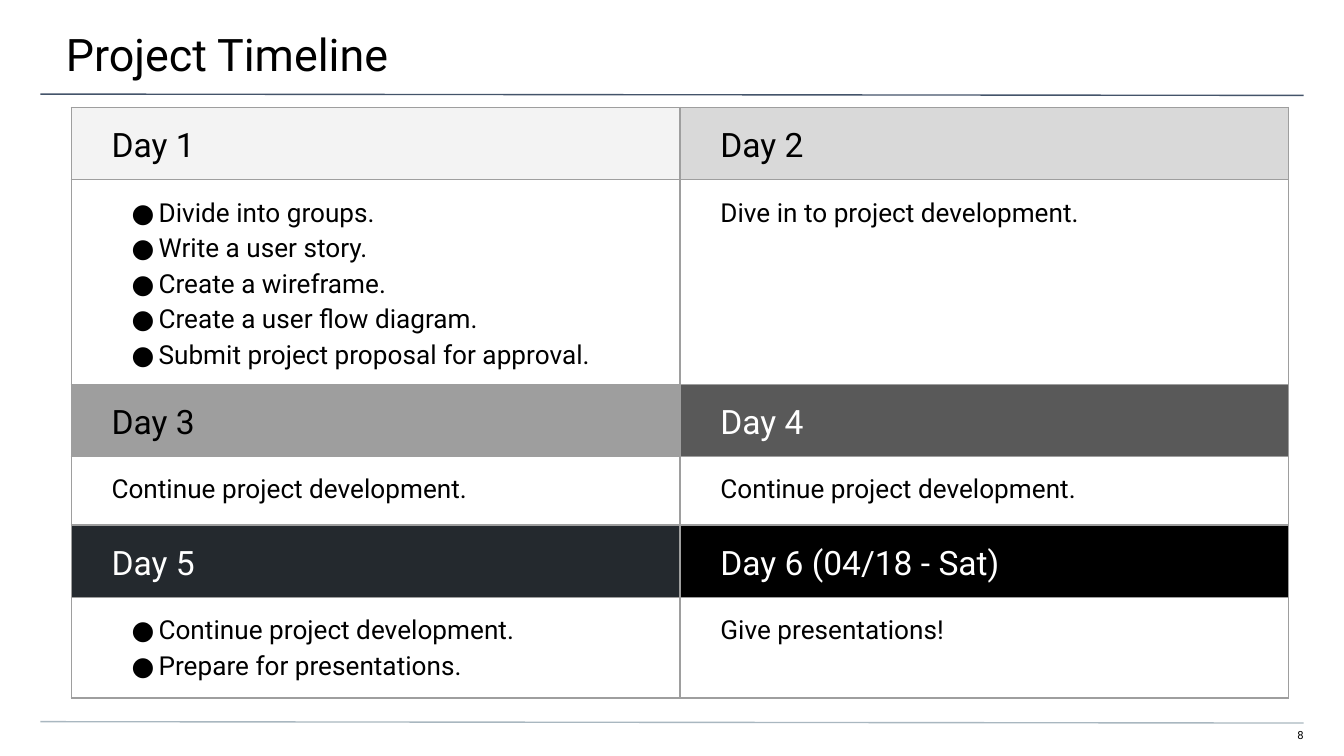
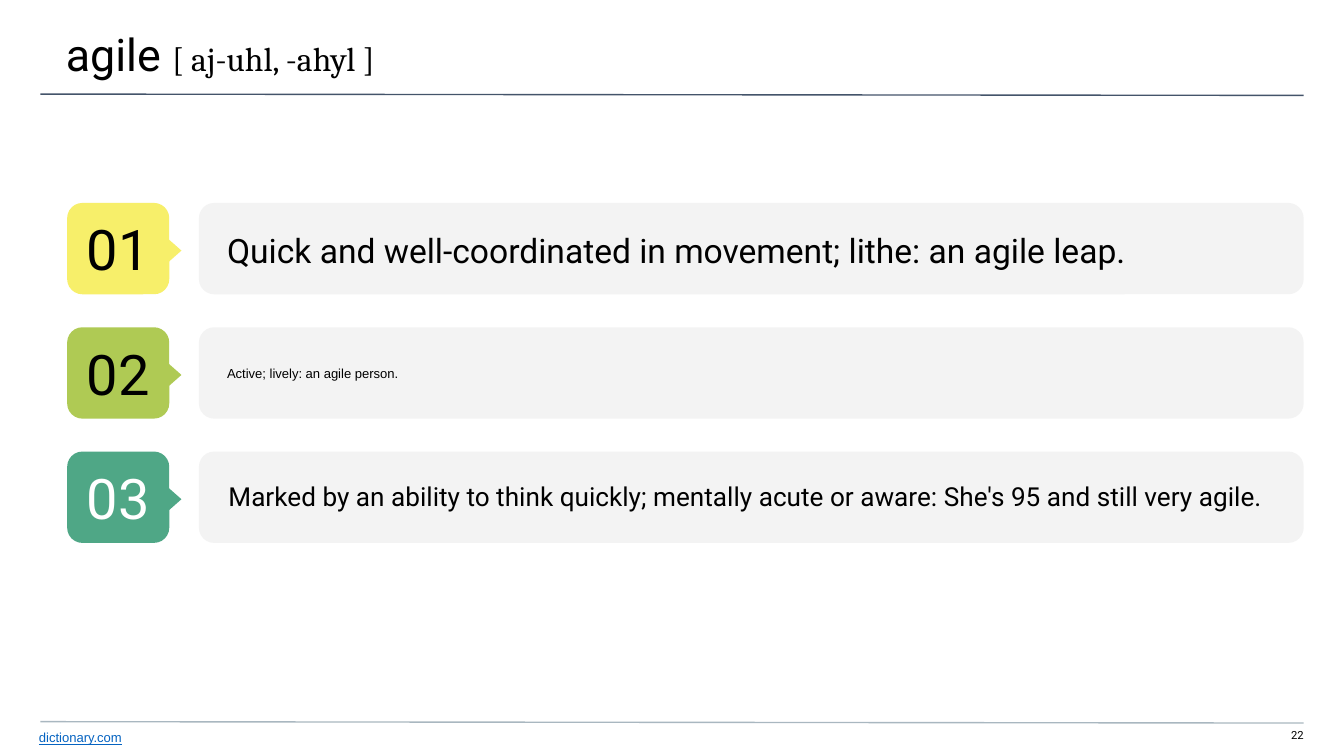
"""Build the project timeline slide and the definition slide for "agile"."""

from dataclasses import dataclass

from lxml.etree import SubElement
from pptx import Presentation
from pptx.dml.color import RGBColor
from pptx.enum.shapes import MSO_CONNECTOR as Connector, MSO_SHAPE as Preset
from pptx.enum.text import MSO_ANCHOR as Anchor, MSO_AUTO_SIZE as AutoSize, PP_ALIGN as Align
from pptx.oxml.ns import qn
from pptx.util import Inches, Pt

BLACK = RGBColor(0x00, 0x00, 0x00)
WHITE = RGBColor(0xFF, 0xFF, 0xFF)
TITLE_RULE = RGBColor(0x44, 0x54, 0x6A)
FOOTER_RULE = RGBColor(0xA9, 0xB7, 0xC0)
GRID = RGBColor(0x9E, 0x9E, 0x9E)
PALE_GRAY = RGBColor(0xF3, 0xF3, 0xF3)
LIGHT_GRAY = RGBColor(0xD9, 0xD9, 0xD9)
DARK_GRAY = RGBColor(0x59, 0x59, 0x59)
INK = RGBColor(0x24, 0x29, 0x2E)
YELLOW = RGBColor(0xF7, 0xEF, 0x6A)
LIME = RGBColor(0xAF, 0xCA, 0x54)
GREEN = RGBColor(0x4F, 0xA7, 0x86)
SOURCE_BLUE = RGBColor(0x05, 0x63, 0xC1)

MAIN_FONT, PHONETIC_FONT, SMALL_FONT = "Roboto", "Cambria", "Arial"
TITLE_ONLY = 5
PAGE_WIDTH = Inches(10)
PAGE_HEIGHT = PAGE_WIDTH * 9 // 16
RULE_WIDTH = Pt(0.75)
ROW_HEIGHTS = (0.53, 1.52, 0.53, 0.51, 0.53, 0.75)
COLUMN_WIDTH = 4.53
FIRST_TOP, LAST_TOP = 1.51, 3.36
BAND_HEIGHT = 0.68
CORNER = 0.167


@dataclass(frozen=True)
class Day:
    """A day of the timeline with its heading and tasks."""

    heading: str
    fill: RGBColor
    color: RGBColor
    tasks: tuple[str, ...]


@dataclass(frozen=True)
class Definition:
    """A numbered meaning of the word."""

    meaning: str
    fill: RGBColor
    color: RGBColor = BLACK
    size: float = 18
    font: str = MAIN_FONT
    left: float = -0.01
    shift: float = 0


DAYS = (
    Day("Day 1", PALE_GRAY, BLACK, (
        "Divide into groups.",
        "Write a user story.",
        "Create a wireframe.",
        "Create a user flow diagram.",
        "Submit project proposal for approval.",
    )),
    Day("Day 2", LIGHT_GRAY, BLACK, ("Dive in to project development.",)),
    Day("Day 3", GRID, BLACK, ("Continue project development.",)),
    Day("Day 4", DARK_GRAY, WHITE, ("Continue project development.",)),
    Day("Day 5", INK, WHITE, ("Continue project development.", "Prepare for presentations.")),
    Day("Day 6 (04/18 - Sat)", BLACK, WHITE, ("Give presentations!",)),
)

DEFINITIONS = (
    Definition("Quick and well-coordinated in movement; lithe: an agile leap.", YELLOW, shift=0.02),
    Definition("Active; lively: an agile person.", LIME, size=7, font=SMALL_FONT, shift=0.01),
    Definition(
        "Marked by an ability to think quickly; mentally acute or aware: "
        "She's 95 and still very agile.",
        GREEN, color=WHITE, size=14, left=0,
    ),
)


def add_span(para, text: str, *, size: float, font: str = MAIN_FONT,
             color: RGBColor = BLACK, underline: bool = False) -> None:
    """Append formatted text to a paragraph."""
    span = para.add_run()
    span.text = text
    span.font.size = Pt(size)
    span.font.name = font
    span.font.color.rgb = color
    if underline:
        span.font.underline = True


def set_frame(frame, insets: tuple[float, float, float, float], anchor=Anchor.TOP) -> None:
    """Set wrapping, anchor and left, top, right, bottom insets."""
    frame.word_wrap = True
    frame.auto_size = AutoSize.NONE
    frame.vertical_anchor = anchor
    frame.margin_left, frame.margin_top, frame.margin_right, frame.margin_bottom = map(Inches, insets)


def place(shape, left: float, top: float, width: float, height: float) -> None:
    """Move and size a shape."""
    shape.left, shape.top = Inches(left), Inches(top)
    shape.width, shape.height = Inches(width), Inches(height)


def add_text(page, left: float, top: float, width: float, height: float, text: str, *,
             insets: tuple[float, float, float, float], anchor=Anchor.TOP,
             align=Align.LEFT, **style) -> None:
    """Add a one-paragraph text box."""
    box = page.shapes.add_textbox(Inches(left), Inches(top), Inches(width), Inches(height))
    set_frame(box.text_frame, insets, anchor)
    para = box.text_frame.paragraphs[0]
    para.alignment = align
    add_span(para, text, **style)


def add_shape(shapes, preset, left: float, top: float, width: float, height: float,
              fill: RGBColor):
    """Add a flat preset shape without an outline."""
    shape = shapes.add_shape(preset, Inches(left), Inches(top), Inches(width), Inches(height))
    shape.shadow.inherit = False
    shape.fill.solid()
    shape.fill.fore_color.rgb = fill
    shape.line.fill.background()
    if preset == Preset.ROUNDED_RECTANGLE:
        shape.adjustments[0] = CORNER
    return shape


def add_rule(page, top: float, color: RGBColor) -> None:
    """Draw a thin rule across the page."""
    rule = page.shapes.add_connector(
        Connector.STRAIGHT, Inches(0.3), Inches(top), Inches(9.7), Inches(top + 0.01))
    rule.line.color.rgb = color
    rule.line.width = RULE_WIDTH
    SubElement(rule._element.spPr, qn("a:effectLst"))


def add_page(deck, number: int):
    """Add a page with its rules and number; return it with its title paragraph."""
    page = deck.slides.add_slide(deck.slide_layouts[TITLE_ONLY])
    title = page.shapes.title
    place(title, -0.01, 0, 10.03, 0.58)
    set_frame(title.text_frame, (0.5, 0.2, 0.3, 0.1))
    heading = title.text_frame.paragraphs[0]
    heading.alignment = Align.LEFT
    add_rule(page, 0.7, TITLE_RULE)
    add_rule(page, 5.37, FOOTER_RULE)
    add_text(page, 9.41, 5.42, 0.29, 0.12, str(number),
             insets=(0, 0, 0, 0.1), align=Align.RIGHT, size=6)
    return page, heading


def add_bullet(para) -> None:
    """Give a paragraph a hanging round bullet."""
    properties = para._p.get_or_add_pPr()
    properties.set("marL", str(Inches(0.35)))
    properties.set("indent", str(Inches(-0.2)))
    color = SubElement(properties, qn("a:buClr"))
    SubElement(color, qn("a:srgbClr"), val=str(BLACK))
    SubElement(properties, qn("a:buFont"), typeface=MAIN_FONT)
    SubElement(properties, qn("a:buChar"), char="●")


def add_borders(cell) -> None:
    """Draw the four borders of a cell."""
    properties = cell._tc.get_or_add_tcPr()
    for side in ("lnL", "lnR", "lnT", "lnB"):
        border = SubElement(properties, qn(f"a:{side}"), w=str(RULE_WIDTH))
        fill = SubElement(border, qn("a:solidFill"))
        SubElement(fill, qn("a:srgbClr"), val=str(GRID))


def fill_cell(cell, lines: tuple[str, ...], *, size: float, color: RGBColor = BLACK,
              fill: RGBColor | None = None) -> None:
    """Write and format a cell, with bullets when it has several lines."""
    cell.margin_left = Inches(0.3)
    cell.margin_top = cell.margin_right = cell.margin_bottom = Inches(0.1)
    add_borders(cell)
    if fill is None:
        cell.fill.background()
    else:
        cell.fill.solid()
        cell.fill.fore_color.rgb = fill
    frame = cell.text_frame
    for index, line in enumerate(lines):
        para = frame.add_paragraph() if index else frame.paragraphs[0]
        para.line_spacing = 1.15
        if len(lines) > 1:
            add_bullet(para)
        add_span(para, line, size=size, color=color)


def build_timeline(deck) -> None:
    """Build the timeline table, two days to a pair of rows."""
    page, heading = add_page(deck, 8)
    add_span(heading, "Project Timeline", size=24)
    table = page.shapes.add_table(
        len(ROW_HEIGHTS), 2, Inches(0.53), Inches(0.8),
        Inches(2 * COLUMN_WIDTH), Inches(sum(ROW_HEIGHTS))).table
    table.first_row = table.horz_banding = False
    for column in table.columns:
        column.width = Inches(COLUMN_WIDTH)
    for row, height in zip(table.rows, ROW_HEIGHTS):
        row.height = Inches(height)
    for index, day in enumerate(DAYS):
        pair, column = divmod(index, 2)
        fill_cell(table.cell(2 * pair, column), (day.heading,),
                  size=18, color=day.color, fill=day.fill)
        fill_cell(table.cell(2 * pair + 1, column), day.tasks, size=14)


def add_definition(page, number: int, top: float, definition: Definition) -> None:
    """Draw a numbered badge with its pointer, band and meaning."""
    add_shape(page.shapes, Preset.ROUNDED_RECTANGLE, 1.48, top, 8.22, BAND_HEIGHT, PALE_GRAY)
    group = page.shapes.add_group_shape()
    badge = add_shape(group.shapes, Preset.ROUNDED_RECTANGLE,
                      0.5, top, 0.76, BAND_HEIGHT, definition.fill)
    set_frame(badge.text_frame, (0.1, 0.1, 0.1, 0.1), Anchor.MIDDLE)
    para = badge.text_frame.paragraphs[0]
    para.alignment = Align.CENTER
    add_span(para, f"{number:02}", size=30, color=definition.color)
    pointer = add_shape(group.shapes, Preset.FLOWCHART_EXTRACT,
                        1.06, top + 0.25, 0.37, 0.21, definition.fill)
    pointer.rotation = 90
    add_text(page, definition.left, top + definition.shift, 10.03, 0.66, definition.meaning,
             insets=(1.7, 0, 0.5, 0), anchor=Anchor.MIDDLE,
             size=definition.size, font=definition.font)


def build_agile(deck) -> None:
    """Build the page that defines the word."""
    page, heading = add_page(deck, 22)
    add_span(heading, "agile ", size=24)
    add_span(heading, "[ aj-uhl, -ahyl ]", size=18, font=PHONETIC_FONT)
    pitch = (LAST_TOP - FIRST_TOP) / (len(DEFINITIONS) - 1)
    for index, definition in enumerate(DEFINITIONS):
        add_definition(page, index + 1, FIRST_TOP + index * pitch, definition)
    add_text(page, -0.01, 5.38, 8.72, 0.25, "dictionary.com", insets=(0.3, 0.05, 0, 0),
             size=7, font=SMALL_FONT, color=SOURCE_BLUE, underline=True)


def main() -> None:
    """Build and save the deck."""
    deck = Presentation()
    deck.slide_width, deck.slide_height = PAGE_WIDTH, PAGE_HEIGHT
    build_timeline(deck)
    build_agile(deck)
    deck.save("out.pptx")


if __name__ == "__main__":
    main()
